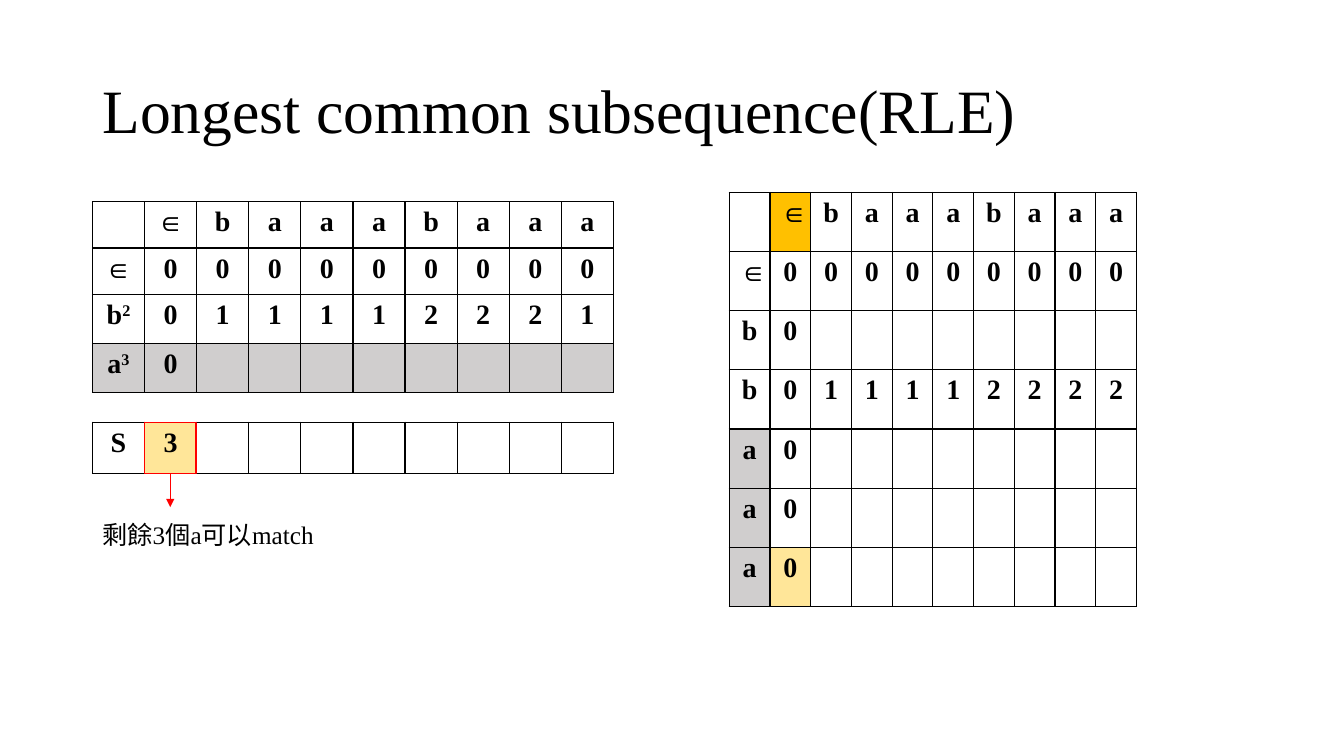
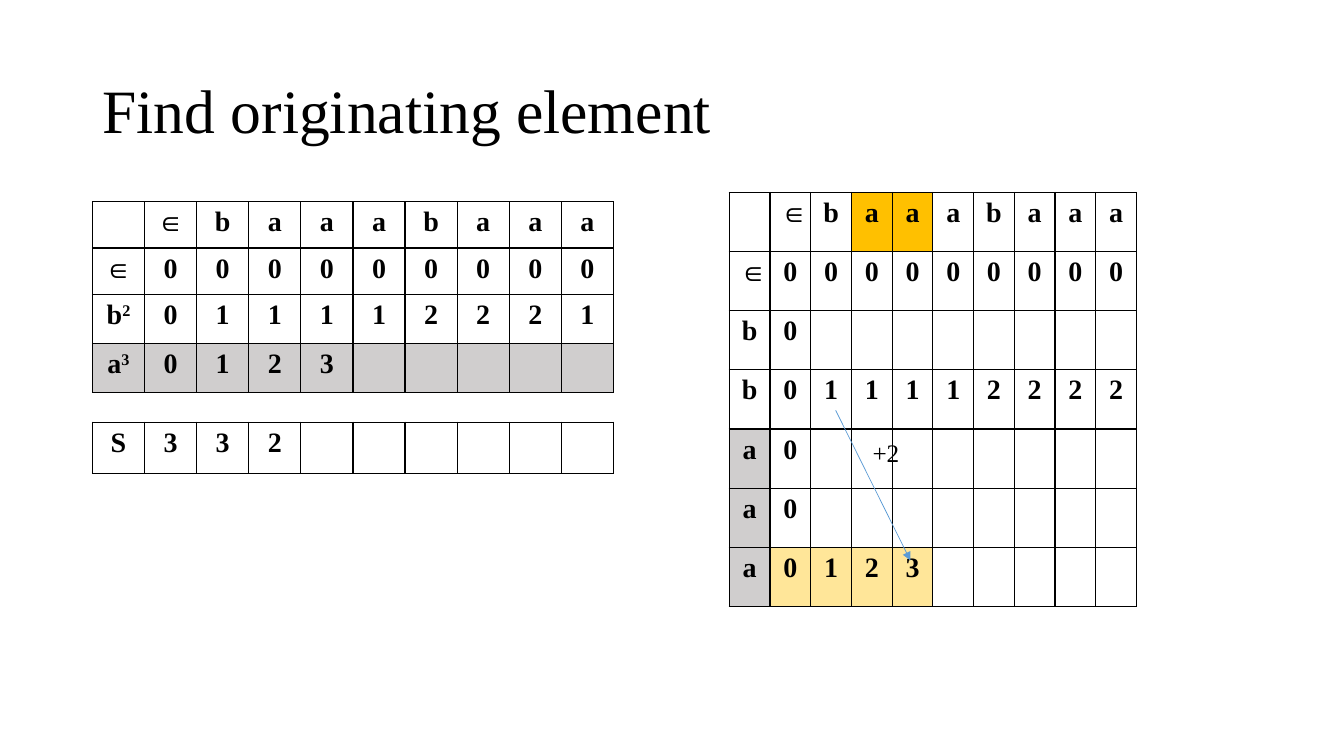
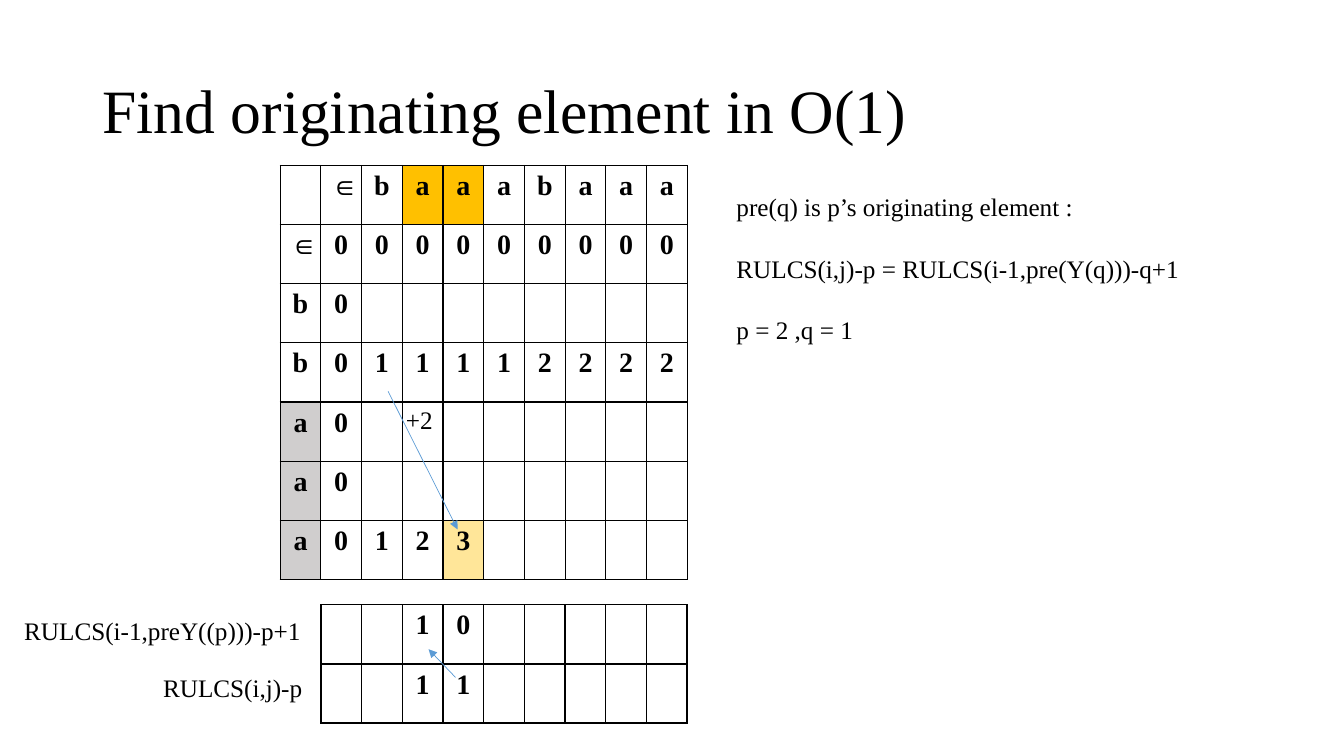
from dataclasses import dataclass

from lxml.etree import SubElement as Sub
from pptx import Presentation
from pptx.dml.color import RGBColor as RGB
from pptx.enum.shapes import MSO_CONNECTOR as Link, MSO_SHAPE as Shape
from pptx.enum.text import MSO_ANCHOR as Anchor, MSO_AUTO_SIZE as Auto, PP_ALIGN as Align
from pptx.oxml.ns import qn
from pptx.util import Cm, Pt


@dataclass(frozen=True)
class Theme:
    face: str = "Times New Roman"
    ink: str = "000000"
    grey: str = "D0CECE"
    gold: str = "FFC000"
    cream: str = "FFE699"
    red: str = "FF0000"
    blue: str = "5B9BD5"
    head: int = 44
    cell: int = 20
    note: int = 18
    rule: float = 1
    thin: float = 0.5


class Deck:
    def __init__(self, theme):
        self.theme = theme
        self.show = Presentation()
        self.show.slide_width, self.show.slide_height = Cm(33.87), Cm(19.05)
        self.slide = None

    def style(self, para, size, bold=False, align=Align.LEFT):
        para.alignment = align
        font = para.font
        font.name, font.size, font.bold = self.theme.face, Pt(size), bold
        font.color.rgb = RGB.from_string(self.theme.ink)

    def page(self, title):
        self.slide = self.show.slides.add_slide(self.show.slide_layouts[5])
        box = self.slide.shapes.title
        box.left, box.top, box.width, box.height = Cm(2.33), Cm(1.01), Cm(29.21), Cm(3.68)
        frame = box.text_frame
        frame.text = title
        frame.vertical_anchor = Anchor.MIDDLE
        para = frame.paragraphs[0]
        para.line_spacing = 0.9
        self.style(para, self.theme.head)

    def fill(self, cell, text, color):
        props = cell._tc.get_or_add_tcPr()
        for side in ("lnL", "lnR", "lnT", "lnB"):
            edge = Sub(props, qn(f"a:{side}"), w=str(Pt(self.theme.rule)))
            Sub(Sub(edge, qn("a:solidFill")), qn("a:srgbClr"), val=self.theme.ink)
        if color:
            cell.fill.solid()
            cell.fill.fore_color.rgb = RGB.from_string(color)
        else:
            cell.fill.background()
        para = cell.text_frame.paragraphs[0]
        if text:
            para.add_run().text = text[0]
        if text[1:]:
            power = para.add_run()
            power.text = text[1:]
            power._r.get_or_add_rPr().set("baseline", "30000")
        self.style(para, self.theme.cell, True, Align.CENTER)

    def grid(self, left, top, width, highs, rows, tints=None, cols=10):
        tints = tints or {}
        table = self.slide.shapes.add_table(
            len(rows), cols, Cm(left), Cm(top), Cm(width), Cm(sum(highs))).table
        table.first_row = table.horz_banding = False
        for col in table.columns:
            col.width = Cm(width / cols)
        for y, (line, high) in enumerate(zip(rows, highs)):
            table.rows[y].height = Cm(high)
            words = line.split(" ")
            words += [""] * (cols - len(words))
            for x, word in enumerate(words):
                self.fill(table.cell(y, x), word, tints.get((y, x)))

    def note(self, left, top, width, *lines, high=1.02, gap=0):
        box = self.slide.shapes.add_textbox(Cm(left), Cm(top), Cm(width), Cm(high))
        frame = box.text_frame
        frame.word_wrap = True
        frame.auto_size = Auto.SHAPE_TO_FIT_TEXT
        for i, line in enumerate(lines):
            para = frame.add_paragraph() if i else frame.paragraphs[0]
            para.text = line
            if i:
                para.space_before = Pt(gap)
            self.style(para, self.theme.note)

    def frame(self, left, top, width, high, color):
        box = self.slide.shapes.add_shape(
            Shape.RECTANGLE, Cm(left), Cm(top), Cm(width), Cm(high))
        box.shadow.inherit = False
        box.fill.background()
        box.line.color.rgb = RGB.from_string(color)
        box.line.width = Pt(self.theme.rule)
        return box

    def arrow(self, start, end, color, base=None):
        link = self.slide.shapes.add_connector(
            Link.STRAIGHT, *(Cm(v) for v in (*start, *end)))
        if base is not None:
            link.begin_connect(base, 2)
        link.line.color.rgb = RGB.from_string(color)
        link.line.width = Pt(self.theme.thin)
        props = link.element.spPr
        Sub(props.find(qn("a:ln")), qn("a:tailEnd"), type="triangle")
        Sub(props, qn("a:effectLst"))


HEAD = [" ∈ b a a a b a a a", "∈" + " 0" * 9]


def tint(color, row, cols):
    return {(row, col): color for col in cols}


def runs(deck, last, rest, tints=None):
    rows = HEAD + ["b2 0 1 1 1 1 2 2 2 1", "a3 " + last]
    deck.grid(2.33, 5.08, 13.13, [1.17, 1.17, 1.24, 1.24], rows,
              tint(deck.theme.grey, 3, range(10)))
    deck.grid(2.33, 10.64, 13.13, [1.3], ["S " + rest], tints)


def full(deck, left, top, last, gold, cream):
    look = deck.theme
    rows = HEAD + ["b 0", "b 0 1 1 1 1 2 2 2 2", "a 0", "a 0", "a " + last]
    tints = {(row, 0): look.grey for row in (4, 5, 6)}
    tints |= tint(look.gold, 0, gold) | tint(look.cream, 6, cream)
    deck.grid(left, top, 10.26, [1.49] * 7, rows, tints)


def main():
    look = Theme()
    deck = Deck(look)

    deck.page("Longest common subsequence(RLE)")
    runs(deck, "0", "3", {(0, 1): look.cream})
    full(deck, 18.38, 4.85, "0", [1], [1])
    box = deck.frame(3.64, 10.64, 1.3, 1.3, look.red)
    deck.note(2.33, 12.95, 8.05, "剩餘3個a可以match")
    deck.arrow((4.29, 11.94), (4.29, 12.78), look.red, box)

    deck.page("Find originating element")
    runs(deck, "0 1 2 3", "3 3 2")
    full(deck, 18.38, 4.85, "0 1 2 3", [3, 4], range(1, 5))
    deck.arrow((21.06, 10.34), (22.94, 14.12), look.blue)
    deck.note(21.74, 10.9, 1.78, "+2")

    deck.page("Find originating element in O(1)")
    full(deck, 7.06, 4.17, "0 1 2 3", [3, 4], [4])
    deck.note(3.86, 16.81, 4.22, "RULCS(i,j)-p")
    deck.note(0.36, 15.39, 7.72, "RULCS(i-1,preY((p)))-p+1")
    deck.grid(8.09, 15.24, 9.23, [1.49] * 2, ["  1 0", "  1 1"], cols=9)
    deck.note(18.31, 4.7, 11.79, "pre(q) is p’s originating element :",
              "RULCS(i,j)-p = RULCS(i-1,pre(Y(q)))-q+1", "p = 2 ,q = 1",
              high=5.64, gap=22.4)
    deck.arrow((11.48, 17.07), (10.8, 16.36), look.blue)
    deck.arrow((9.78, 9.86), (11.53, 13.34), look.blue)
    deck.note(9.98, 10.06, 2.31, "+2")

    deck.show.save("out.pptx")


if __name__ == "__main__":
    main()
